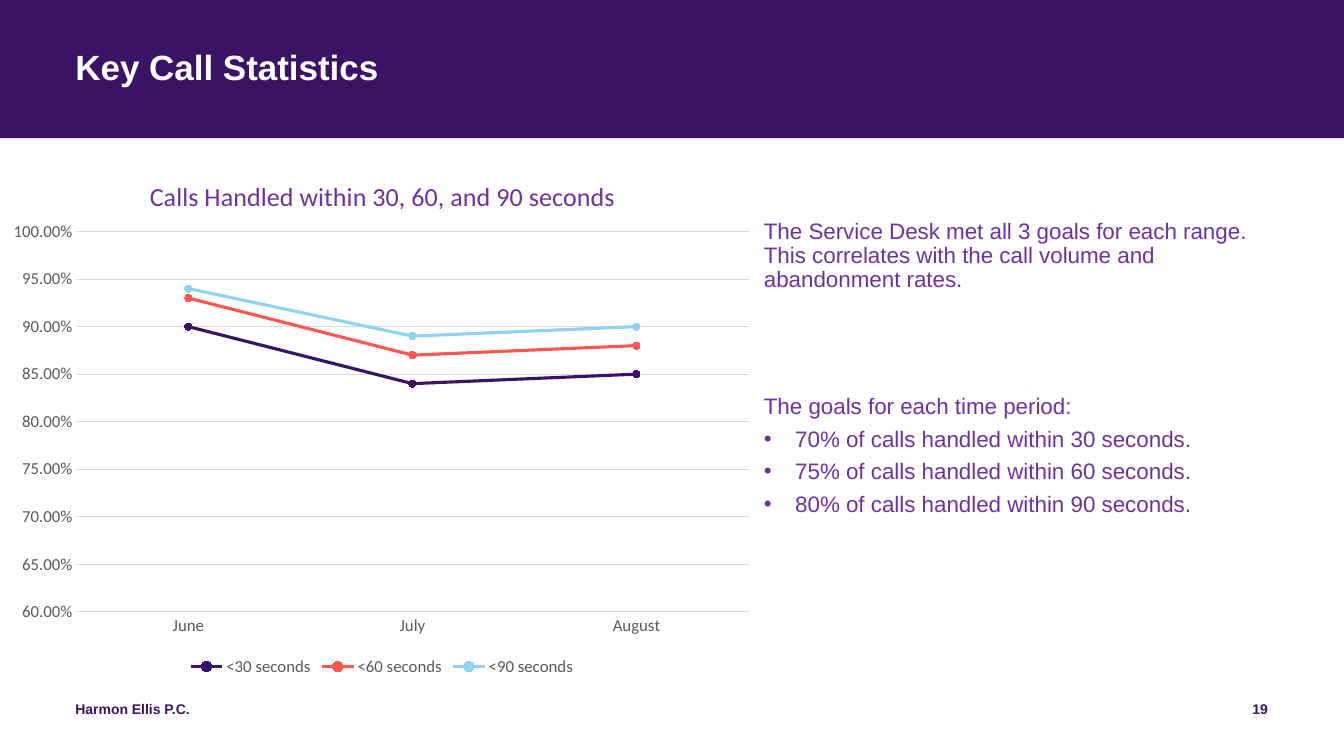
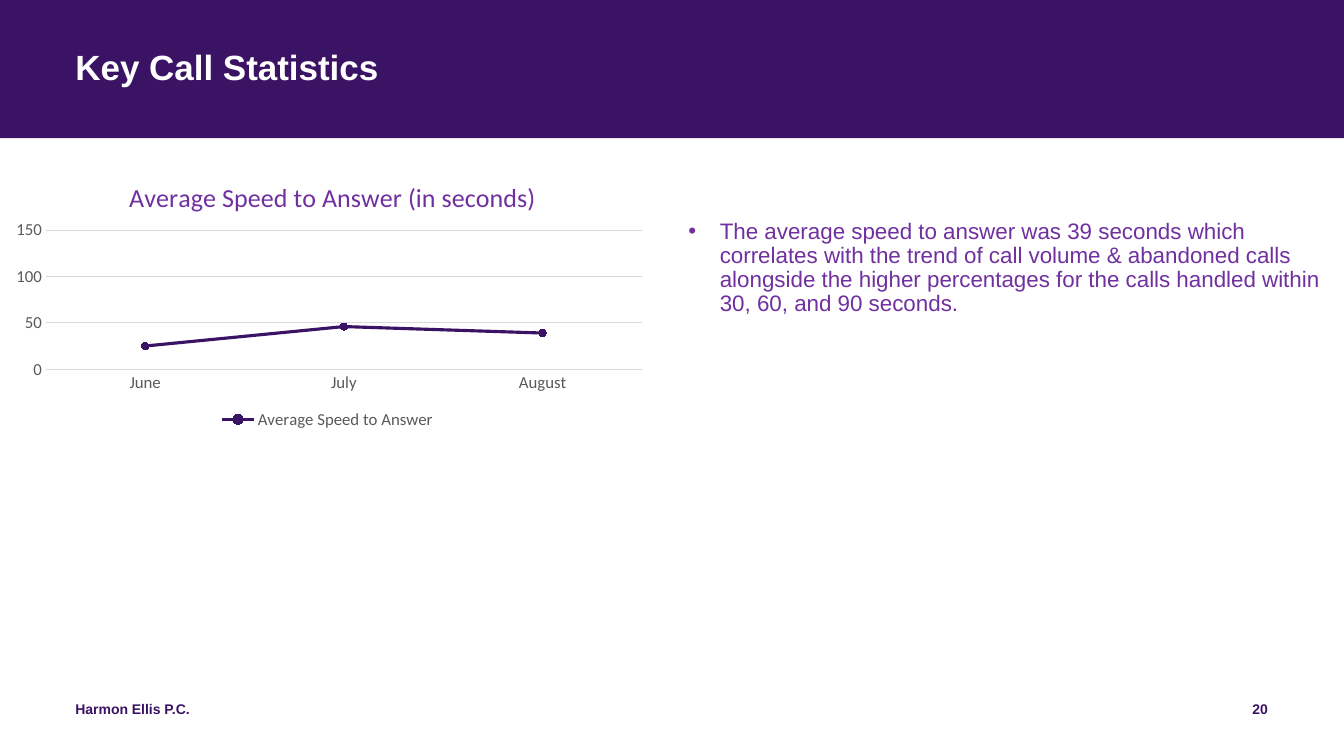
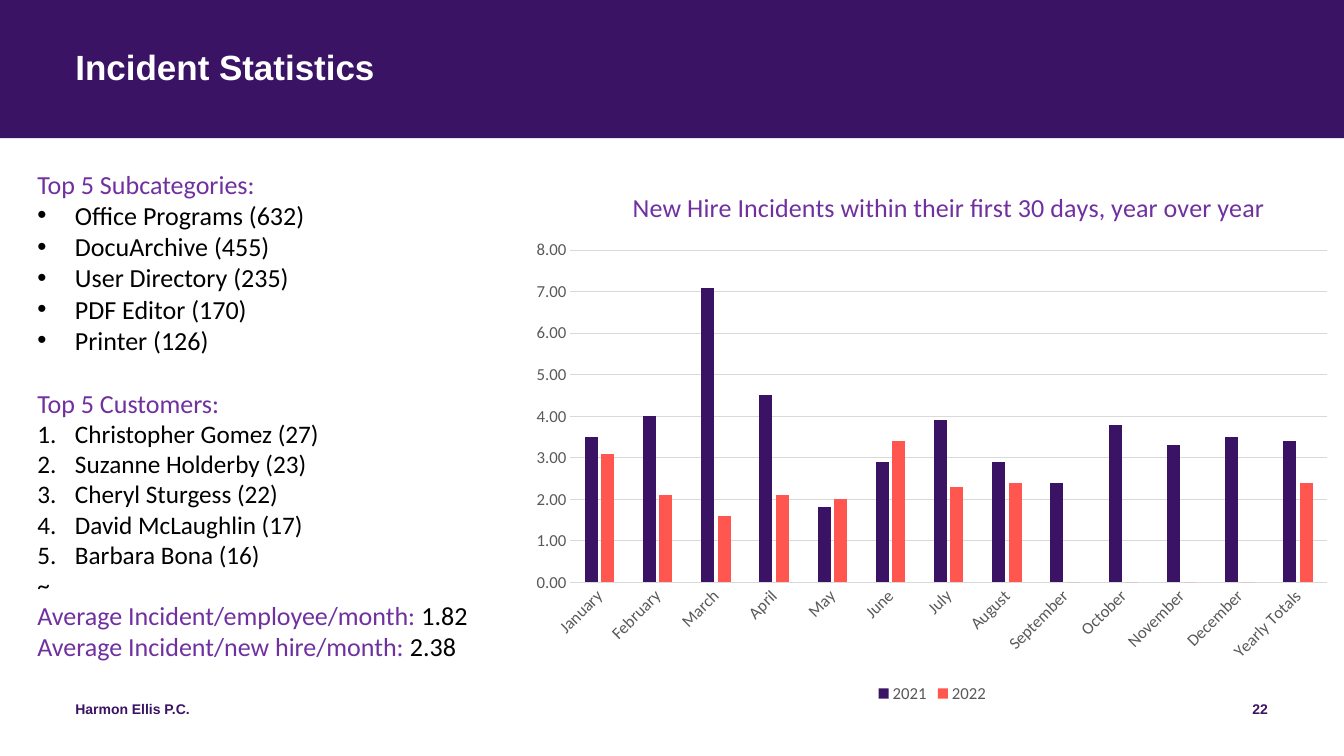
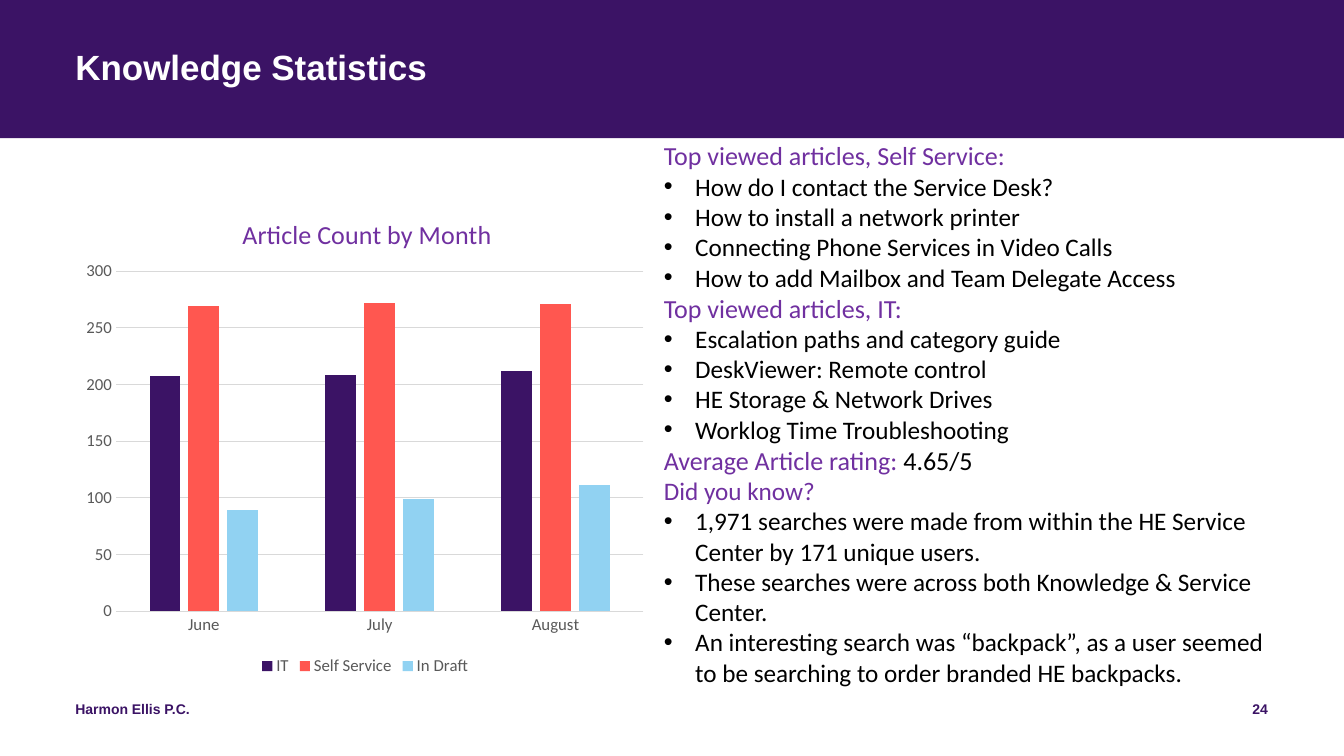
from lxml import etree
from pptx import Presentation
from pptx import util as u
from pptx.chart import data as chart_data
from pptx.dml.color import RGBColor
from pptx.enum import chart as ch, shapes, text
from pptx.oxml.ns import qn

COLORS = {"deep": "3B1365", "purple": "7030A0", "coral": "FF5750", "sky": "91D2F2",
          "white": "FFFFFF", "black": "000000", "grey": "595959", "rule": "D9D9D9"}
RGB = {name: RGBColor.from_string(value) for name, value in COLORS.items()}
SERIES_COLORS = ["deep", "coral", "sky"]
FOOTER = {"name": "Arial", "size": 10, "color": "deep", "bold": True}
TITLE = {"name": "Arial", "size": 25, "color": "white", "bold": True}
MONTHS = ["June", "July", "August"]
LINE, COLUMN = ch.XL_CHART_TYPE.LINE_MARKERS, ch.XL_CHART_TYPE.COLUMN_CLUSTERED


def style_font(font, look):
    for key, value in look.items():
        if key == "color":
            font.color.rgb = RGB[value]
        else:
            setattr(font, key, u.Pt(value) if key == "size" else value)


def make_layout(target, **place):
    """Return a manual chart layout; values are shares of the chart area."""
    layout = etree.Element(qn("c:layout"))
    manual = etree.SubElement(layout, qn("c:manualLayout"))
    if target:
        etree.SubElement(manual, qn("c:layoutTarget"), val=target)
    for side in "xy":
        etree.SubElement(manual, qn(f"c:{side}Mode"), val="edge")
    for key, value in place.items():
        etree.SubElement(manual, qn(f"c:{key}"), val=str(value))
    return layout


# Content: paragraphs are (bullet, size, space before, runs of (text, colour))
SLIDES = [
    {"title": "Key Call Statistics", "page": 19,
     "body": {"at": (19.25, 5.54, 12.7, 11.6), "font": "Arial", "inset": 0, "spacing": 0.9, "after": 6,
              "indent": 0.79,
              "lines": [
                  (None, 16, 0, [("The Service Desk met all 3 goals for each range. This correlates with "
                                  "the call volume and abandonment rates.", "purple")]),
                  (None, 16, 67.5, [("The goals for each time period:", "purple")]),
                  *[("•", 16, 0, [(f"{share}% of calls handled within {limit} seconds.", "purple")])
                    for share, limit in [(70, 30), (75, 60), (80, 90)]]]},
     "chart": {"at": (0, 3.84, 19.25, 13.31), "type": LINE, "cats": MONTHS,
               "title": "Calls Handled within 30, 60, and 90 seconds", "title_at": (0.19, 0.04),
               "plot": (0.1, 0.15, 0.88, 0.72), "scale": (0.6, 1, 0.05), "format": "0.00%",
               "series": {"<30 seconds": [0.9, 0.84, 0.85], "<60 seconds": [0.93, 0.87, 0.88],
                          "<90 seconds": [0.94, 0.89, 0.9]}}},
    {"title": "Key Call Statistics", "page": 20,
     "body": {"at": (17.35, 5.54, 16.51, 5.38), "font": "Arial", "inset": 0, "spacing": 0.9, "after": 6,
              "indent": 0.79,
              "lines": [("•", 16, 0, [("The average speed to answer was 39 seconds which correlates with the "
                                       "trend of call volume & abandoned calls alongside the higher "
                                       "percentages for the calls handled within 30, 60, and 90 seconds.",
                                       "purple")])]},
     "chart": {"at": (0, 3.91, 16.51, 7.01), "type": LINE, "cats": MONTHS,
               "title": "Average Speed to Answer (in seconds)", "title_at": (0.19, 0.07),
               "plot": (0.07, 0.27, 0.91, 0.5), "scale": (0, 150, 50), "format": "General",
               "series": {"Average Speed to Answer": [25, 46, 39]}}},
    {"title": "Incident Statistics", "page": 22,
     "body": {"at": (0.69, 4.11, 12.47, 12.83), "font": "Calibri", "inset": 0.25, "spacing": 1, "after": 0,
              "indent": 0.95,
              "lines": [
                  (None, 18.6, 0, [("Top 5 Subcategories:", "purple")]),
                  *[("•", 18.6, 0, [(topic, "black")]) for topic in
                    ["Office Programs (632)", "DocuArchive (455)", "User Directory (235)",
                     "PDF Editor (170)", "Printer (126)"]],
                  (None, 18.6, 22.5, [("Top 5 Customers:", "purple")]),
                  *[("1.", 18, 0, [(customer, "black")]) for customer in
                    ["Christopher Gomez (27)", "Suzanne Holderby (23)", "Cheryl Sturgess (22)",
                     "David McLaughlin (17)", "Barbara Bona (16)"]],
                  (None, 18, 0, [("~", "black")]),
                  *[(None, 18.6, 0, [(f"Average Incident/{group}/month: ", "purple"), (rate, "black")])
                    for group, rate in [("employee", "1.82"), ("new hire", "2.38")]]]},
     "chart": {"at": (13.13, 4.11, 20.73, 13.72), "type": COLUMN,
               "cats": ["January", "February", "March", "April", "May", *MONTHS, "September", "October",
                        "November", "December", "Yearly Totals"],
               "title": "New Hire Incidents within their first 30 days, year over year",
               "title_at": (0.13, 0.04), "plot": (0.06, 0.16, 0.92, 0.61), "scale": (0, 8, 1),
               "format": "0.00", "label_turn": -45,
               "series": {"2021": [3.5, 4, 7.1, 4.5, 1.8, 2.9, 3.9, 2.9, 2.4, 3.8, 3.3, 3.5, 3.4],
                          "2022": [3.1, 2.1, 1.6, 2.1, 2, 3.4, 2.3, 2.4, 0, 0, 0, 0, 2.4]}}},
    {"title": "Knowledge Statistics", "page": 24,
     "body": {"at": (16.48, 3.4, 16.05, 14.17), "font": "Calibri", "inset": 0.25, "spacing": 1, "after": 0,
              "indent": 0.79,
              "lines": [
                  (None, 18.6, 0, [("Top viewed articles, Self Service:", "purple")]),
                  *[("•", 18, 0, [(article, "black")]) for article in
                    ["How do I contact the Service Desk?", "How to install a network printer",
                     "Connecting Phone Services in Video Calls",
                     "How to add Mailbox and Team Delegate Access"]],
                  (None, 18.6, 0, [("Top viewed articles, IT:", "purple")]),
                  *[("•", 18, 0, [(article, "black")]) for article in
                    ["Escalation paths and category guide", "DeskViewer: Remote control",
                     "HE Storage & Network Drives", "Worklog Time Troubleshooting"]],
                  (None, 18.6, 0, [("Average Article rating: ", "purple"), ("4.65/5", "black")]),
                  (None, 18, 0, [("Did you know?", "purple")]),
                  *[("•", 18, 0, [(fact, "black")]) for fact in
                    ["1,971 searches were made from within the HE Service Center by 171 unique users.",
                     "These searches were across both Knowledge & Service Center.",
                     "An interesting search was “backpack”, as a user seemed to be searching to order "
                     "branded HE backpacks."]]]},
     "chart": {"at": (1.9, 4.72, 14.61, 12.42), "type": COLUMN, "cats": MONTHS,
               "title": "Article Count by Month", "title_at": (0.28, 0.05),
               "plot": (0.07, 0.17, 0.91, 0.69), "scale": (0, 300, 50), "format": "General",
               "series": {"IT": [207, 208, 212], "Self Service": [269, 272, 271],
                          "In Draft": [89, 99, 111]}}},
]

prs = Presentation()
prs.slide_width, prs.slide_height = u.Cm(33.87), u.Cm(19.05)
layout = prs.slide_layouts[1]
heading = layout.placeholders[0]
heading.left, heading.top, heading.width, heading.height = map(u.Cm, (1.9, 1.27, 30.05, 2.06))

for number, content in enumerate(SLIDES):
    slide = prs.slides.add_slide(layout)

    # Shared band and footer go to the master, the page number stays on the slide
    if number == 0:
        band = slide.shapes.add_shape(shapes.MSO_SHAPE.RECTANGLE, 0, 0, prs.slide_width, u.Cm(3.48))
        band.shadow.inherit = False
        band.fill.solid()
        band.fill.fore_color.rgb = RGB["deep"]
        band.line.fill.background()
    footers = [(24.33, 7.62, text.PP_ALIGN.RIGHT, str(content["page"]))]
    if number == 0:
        footers.append((1.9, 11.43, text.PP_ALIGN.LEFT, "Harmon Ellis P.C."))
    for left, width, align, words in footers:
        footer = slide.shapes.add_textbox(u.Cm(left), u.Cm(17.65), u.Cm(width), u.Cm(1.02))
        frame = footer.text_frame
        frame.word_wrap = True
        frame.margin_left = frame.margin_top = frame.margin_right = frame.margin_bottom = 0
        frame.text = words
        frame.paragraphs[0].alignment = align
        style_font(frame.paragraphs[0].runs[0].font, FOOTER)
    if number == 0:
        for offset, shared in enumerate([band, footer]):
            shared._element.nvSpPr.cNvPr.set("id", str(101 + offset))
            prs.slide_master.shapes._spTree.insert(2 + offset, shared._element)

    # Title
    frame = slide.shapes.title.text_frame
    frame.margin_left = frame.margin_top = frame.margin_right = frame.margin_bottom = 0
    frame.vertical_anchor = text.MSO_ANCHOR.TOP
    frame.auto_size = text.MSO_AUTO_SIZE.NONE
    frame.text = content["title"]
    frame.paragraphs[0].alignment = text.PP_ALIGN.LEFT
    frame.paragraphs[0].line_spacing = 0.9
    style_font(frame.paragraphs[0].runs[0].font, TITLE)

    # Body text
    body = content["body"]
    holder = slide.placeholders[1]
    holder.left, holder.top, holder.width, holder.height = map(u.Cm, body["at"])
    frame = holder.text_frame
    frame.auto_size = text.MSO_AUTO_SIZE.NONE
    frame.word_wrap = True
    frame.margin_left = frame.margin_right = u.Cm(body["inset"])
    frame.margin_top = frame.margin_bottom = u.Cm(body["inset"] / 2)
    for index, (bullet, size, before, runs) in enumerate(body["lines"]):
        line = frame.add_paragraph() if index else frame.paragraphs[0]
        props = line._p.get_or_add_pPr()
        indent = u.Cm(body["indent"]) if bullet else 0
        props.set("marL", str(indent))
        props.set("indent", str(-indent))
        if bullet == "•":
            etree.SubElement(props, qn("a:buFont"), typeface="Arial")
            etree.SubElement(props, qn("a:buChar"), char=bullet)
        elif bullet:
            etree.SubElement(props, qn("a:buAutoNum"), type="arabicPeriod")
        else:
            etree.SubElement(props, qn("a:buNone"))
        line.line_spacing = body["spacing"]
        line.space_before, line.space_after = u.Pt(before), u.Pt(body["after"])
        for words, color in runs:
            run = line.add_run()
            run.text = words
            style_font(run.font, {"name": body["font"], "size": size, "color": color})

    # Chart
    plan = content["chart"]
    figures = chart_data.CategoryChartData(number_format=plan["format"])
    figures.categories = plan["cats"]
    for name, values in plan["series"].items():
        figures.add_series(name, values)
    chart = slide.shapes.add_chart(plan["type"], *map(u.Cm, plan["at"]), figures).chart
    style_font(chart.font, {"name": "Calibri", "size": 12, "color": "grey"})

    chart.has_title = True
    caption = chart.chart_title
    caption.include_in_layout = False
    caption.text_frame.text = plan["title"]
    style_font(caption.text_frame.paragraphs[0].runs[0].font,
               {"name": "Calibri", "size": 18.6, "color": "purple", "bold": False})
    area = chart._chartSpace.chart.plotArea
    for parent in (caption._element, area):
        for old in parent.findall(qn("c:layout")):
            parent.remove(old)
    caption._element.find(qn("c:tx")).addnext(make_layout(None, **dict(zip("xy", plan["title_at"]))))
    area.insert(0, make_layout("inner", **dict(zip("xywh", plan["plot"]))))

    chart.has_legend = True
    chart.legend.position = ch.XL_LEGEND_POSITION.BOTTOM
    chart.legend.include_in_layout = False

    # Axes
    months, scale = chart.category_axis, chart.value_axis
    for axis in (months, scale):
        axis.major_tick_mark = axis.minor_tick_mark = ch.XL_TICK_MARK.NONE
        style_font(axis.tick_labels.font, {"name": "Calibri", "size": 12, "color": "grey"})
    scale.minimum_scale, scale.maximum_scale, scale.major_unit = plan["scale"]
    scale.tick_labels.number_format = plan["format"]
    scale.tick_labels.number_format_is_linked = False
    scale.format.line.fill.background()
    scale.has_major_gridlines = True
    for rule in (months.format.line, scale.major_gridlines.format.line):
        rule.color.rgb = RGB["rule"]
        rule.width = u.Pt(0.75)
    if "label_turn" in plan:
        turn = months._element.find(qn("c:txPr")).find(qn("a:bodyPr"))
        turn.set("rot", str(plan["label_turn"] * 60000))

    # Series
    plot = chart.plots[0]
    plot.vary_by_categories = False
    if plan["type"] == COLUMN:
        plot.gap_width, plot.overlap = 219, -27
    for series, color in zip(plot.series, SERIES_COLORS):
        fills = [series.format.fill]
        if plan["type"] == LINE:
            series.smooth = False
            series.format.line.color.rgb = RGB[color]
            series.format.line.width = u.Pt(2.25)
            series.marker.style = ch.XL_MARKER_STYLE.CIRCLE
            series.marker.size = 5
            series.marker.format.line.color.rgb = RGB[color]
            fills = [series.marker.format.fill]
        for fill in fills:
            fill.solid()
            fill.fore_color.rgb = RGB[color]

prs.save("out.pptx")
